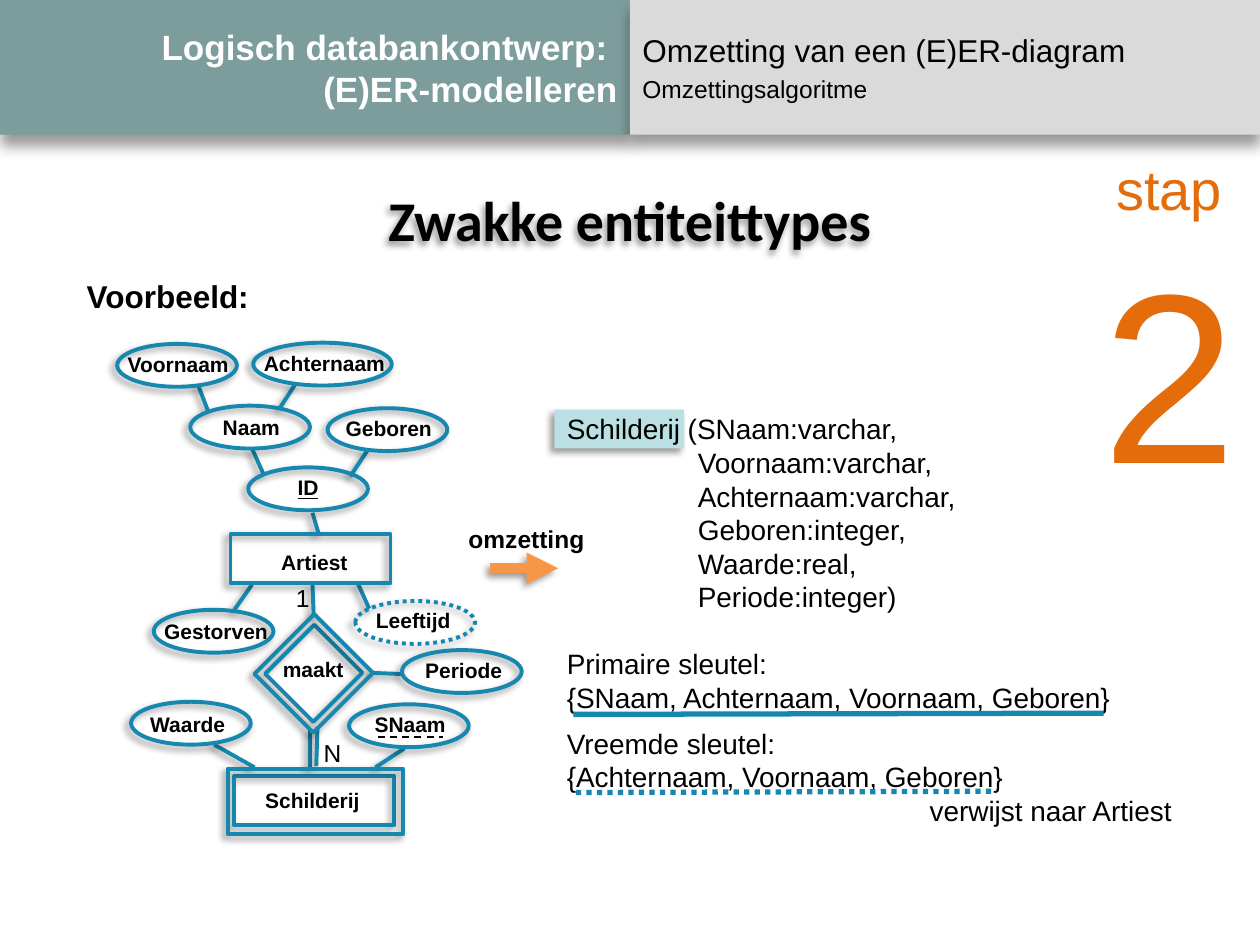
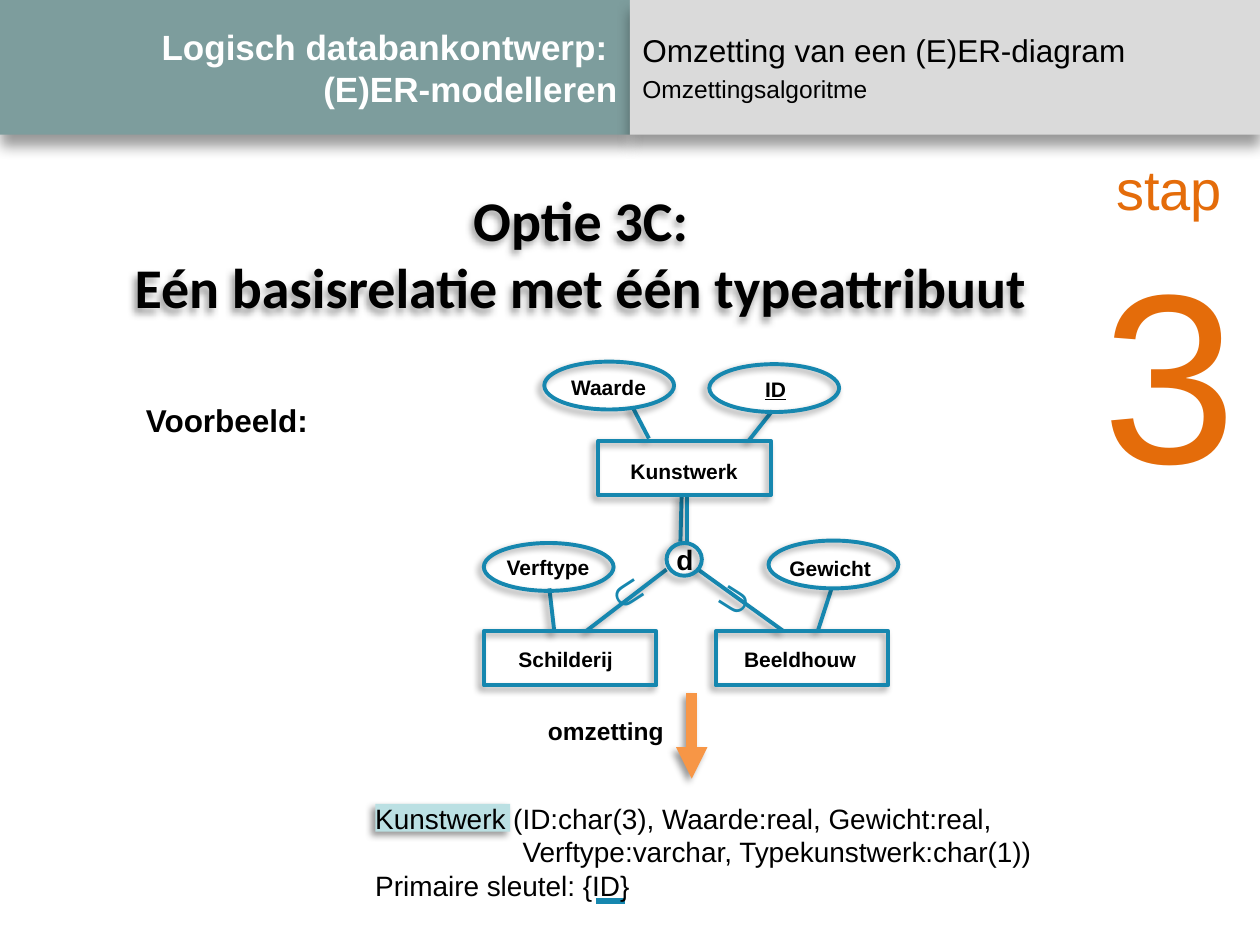
from dataclasses import dataclass
from typing import Any, NamedTuple

from lxml import etree
from pptx import Presentation, util as u
from pptx.dml.color import RGBColor
from pptx.enum import dml, shapes, text
from pptx.oxml.ns import qn

RECT = shapes.MSO_SHAPE.RECTANGLE
OVAL = shapes.MSO_SHAPE.OVAL
LEFT, MID, RIGHT = text.PP_ALIGN.LEFT, text.PP_ALIGN.CENTER, text.PP_ALIGN.RIGHT
DOTS, DASH = dml.MSO_LINE.ROUND_DOT, dml.MSO_LINE.DASH


@dataclass(frozen=True)
class Theme:
    ink: str = "000000"
    white: str = "FFFFFF"
    teal: str = "7D9D9D"
    grey: str = "DADADA"
    blue: str = "1687AF"
    pale: str = "BBE0E3"
    orange: str = "F79646"
    step: str = "E46C0A"
    font: str = "Arial"
    head: str = "Calibri"
    label: int = 12
    small: int = 14
    code: int = 16
    lead: int = 18
    band: int = 20
    union: int = 24
    title: int = 32
    number: int = 138
    thin: float = 1
    edge: float = 2.25
    under: float = 3
    arrow: float = 6


T = Theme()


class Shade(NamedTuple):
    blur: float
    dist: float
    angle: int


SOFT = Shade(4, 3, 135)
DEEP = Shade(8, 6, 90)


class Box(NamedTuple):
    x: float
    y: float
    w: float
    h: float


class Line(NamedTuple):
    x1: float
    y1: float
    x2: float
    y2: float


@dataclass(frozen=True)
class Para:
    text: str
    size: float
    gap: float = 0
    indent: float = 0


@dataclass(frozen=True)
class Node:
    """A shape in the diagram with its label box (left, top, width)."""
    label: str
    x: float
    y: float
    at: tuple[float, float, float]
    kind: Any = OVAL
    key: bool = False
    dash: Any = None
    size: tuple[float, float] | None = None


def inch(val: float) -> u.Length:
    return u.Cm(val * 2.54)


def style(obj: Any, form: dict[str, Any]) -> None:
    for name, val in form.items():
        setattr(obj, name, val)


def shade(item: Any, kind: Shade | None) -> None:
    """Replace the theme shadow by the given one, or by none."""
    props = item._element.spPr
    for old in props.findall(qn("a:effectLst")):
        props.remove(old)
    root = etree.SubElement(props, qn("a:effectLst"))
    if kind:
        cast = etree.SubElement(
            root, qn("a:outerShdw"), blurRad=str(u.Pt(kind.blur)),
            dist=str(u.Pt(kind.dist)), dir=str(kind.angle * 60000),
            algn="tl", rotWithShape="0")
        tint = etree.SubElement(cast, qn("a:srgbClr"), val=T.ink)
        etree.SubElement(tint, qn("a:alpha"), val="40000")


def stroke(line: Any, color: str, width: float, dash: Any = None) -> None:
    line.color.rgb = RGBColor.from_string(color)
    style(line, {"width": u.Pt(width), "dash_style": dash})


def form(slide: Any, kind: Any, box: Box, fill: str | None = None,
         dash: Any = None, turn: float = 0, cast: Shade = SOFT) -> Any:
    """Filled shape without edge, or a blue outline when fill is None."""
    item = slide.shapes.add_shape(kind, *map(inch, box))
    item.rotation = turn
    if fill:
        item.fill.solid()
        item.fill.fore_color.rgb = RGBColor.from_string(fill)
        item.line.fill.background()
    else:
        item.fill.background()
        stroke(item.line, T.blue, T.edge, dash)
    shade(item, cast)
    return item


def link(slide: Any, line: Line, color: str = T.blue, width: float = T.edge,
         dash: Any = None, cast: Shade | None = SOFT, arrow: bool = False) -> None:
    item = slide.shapes.add_connector(
        shapes.MSO_CONNECTOR.STRAIGHT, *map(inch, line))
    stroke(item.line, color, width, dash)
    if arrow:
        etree.SubElement(item.line._get_or_add_ln(), qn("a:tailEnd"), type="triangle")
    shade(item, cast)


def write(frame: Any, paras: list[Para], color: str = T.ink, align: Any = LEFT,
          font: str = T.font, **look: Any) -> None:
    for num, para in enumerate(paras):
        part = frame.add_paragraph() if num else frame.paragraphs[0]
        part.text = para.text
        part.alignment = align
        if para.gap:
            part.space_before = u.Pt(para.gap)
        if para.indent:
            part._p.get_or_add_pPr().set("marL", str(inch(para.indent)))
        for run in part.runs:
            style(run.font, {"name": font, "size": u.Pt(para.size), **look})
            run.font.color.rgb = RGBColor.from_string(color)


def note(slide: Any, box: Box, paras: list[Para], wrap: bool = False,
         turn: float = 0, **look: Any) -> Any:
    item = slide.shapes.add_textbox(*map(inch, box))
    item.rotation = turn
    style(item.text_frame, {"word_wrap": wrap,
                            "auto_size": text.MSO_AUTO_SIZE.SHAPE_TO_FIT_TEXT})
    write(item.text_frame, paras, **look)
    return item


def band(slide: Any, x: float, fill: str, paras: list[Para], **look: Any) -> None:
    item = form(slide, RECT, Box(x, 0, 5, 1.07), fill, cast=DEEP)
    style(item.text_frame, {"word_wrap": True,
                            "vertical_anchor": text.MSO_ANCHOR.MIDDLE})
    write(item.text_frame, paras, **look)


def start(deck: Any, mark: Box, step: str, title: str, place: Box,
          lead: tuple[float, float], hint: tuple[float, float], arrow: Line) -> Any:
    """Add a slide with all that the two slides share."""
    slide = deck.slides.add_slide(deck.slide_layouts[6])
    form(slide, RECT, mark, T.pale)
    band(slide, 0, T.teal, [Para("Logisch databankontwerp: \v(E)ER-modelleren", T.band)],
         color=T.white, align=RIGHT, bold=True)
    band(slide, 5, T.grey, [Para("Omzetting van een (E)ER-diagram", T.lead),
                            Para("Omzettingsalgoritme", T.small, gap=3)])
    note(slide, Box(8.63, 1.18, 1.3, 2.96),
         [Para("stap", T.title), Para(step, T.number)], color=T.step, align=MID)
    head = note(slide, place, [Para(title, T.title)], align=MID, font=T.head, bold=True)
    shade(head, SOFT)
    note(slide, Box(*lead, 1.5, 0.4), [Para("Voorbeeld:", T.lead)], bold=True)
    note(slide, Box(*hint, 1.13, 0.34), [Para("omzetting", T.small)], bold=True)
    link(slide, arrow, T.orange, T.arrow, arrow=True)
    return slide


def chart(slide: Any, nodes: list[Node], links: list[Line],
          oval: tuple[float, float], rect: tuple[float, float]) -> None:
    """Draw the nodes, with one default size per kind, and their links."""
    for line in links:
        link(slide, line)
    for node in nodes:
        size = node.size or (oval if node.kind == OVAL else rect)
        form(slide, node.kind, Box(node.x, node.y, *size), dash=node.dash)
        left, top, wide = node.at
        note(slide, Box(left, top, wide, 0.3), [Para(node.label, T.label)],
             align=MID, bold=True, underline=node.key)


def weak(deck: Any) -> None:
    slide = start(deck, Box(4.4, 3.25, 1.03, 0.31), "2", "Zwakke entiteittypes",
                  Box(2.96, 1.42, 4.08, 0.64), (0.59, 2.15), (3.62, 4.11),
                  Line(3.89, 4.51, 4.43, 4.51))
    nodes = [
        Node("Voornaam", 0.93, 2.73, (0.91, 2.74, 1.01)),
        Node("Achternaam", 2.01, 2.72, (1.99, 2.73, 1.17), size=(1.1, 0.34)),
        Node("Naam", 1.51, 3.22, (1.66, 3.24, 0.67)),
        Node("Geboren", 2.6, 3.24, (2.64, 3.25, 0.89)),
        Node("ID", 1.97, 3.71, (2.26, 3.72, 0.37), key=True),
        Node("Artiest", 1.83, 4.24, (2.13, 4.31, 0.73), RECT),
        Node("Gestorven", 1.22, 4.84, (1.2, 4.86, 1.03)),
        Node("Leeftijd", 2.82, 4.77, (2.88, 4.77, 0.8), dash=DOTS),
        Node("Periode", 3.19, 5.16, (3.27, 5.17, 0.82)),
        Node("Waarde", 1.04, 5.57, (1.09, 5.6, 0.8)),
        Node("SNaam", 2.77, 5.59, (2.86, 5.6, 0.79)),
        Node("Schilderij", 1.86, 6.16, (2, 6.2, 0.96), RECT),
    ]
    links = [
        Line(1.65, 3.26, 1.57, 3.05), Line(2.22, 3.24, 2.35, 3.04),
        Line(2.09, 3.76, 2, 3.56), Line(2.78, 3.78, 2.92, 3.57),
        Line(2.53, 4.24, 2.48, 4.07), Line(2.93, 4.83, 2.84, 4.63),
        Line(1.86, 4.84, 2, 4.64), Line(2.49, 4.89, 2.48, 4.64),
        Line(2.94, 5.34, 3.19, 5.35), Line(2.46, 6.1, 2.46, 5.79),
        Line(2.51, 6.08, 2.52, 5.77), Line(2.98, 6.09, 3.21, 5.94),
        Line(2.02, 6.09, 1.7, 5.91),
    ]
    chart(slide, nodes, links, (0.95, 0.34), (1.27, 0.39))
    form(slide, RECT, Box(1.81, 6.1, 1.39, 0.52))
    for box in (Box(2.22, 5.07, 0.54, 0.55), Box(2.16, 5.01, 0.66, 0.67)):
        form(slide, RECT, box, turn=45)
    note(slide, Box(2.14, 5.16, 0.69, 0.3), [Para("maakt", T.label)],
         align=MID, bold=True)
    for count, x, y, wide in (("1", 2.25, 4.58, 0.29), ("N", 2.47, 5.81, 0.32)):
        note(slide, Box(x, y, wide, 0.3), [Para(count, T.small)], align=MID)
    link(slide, Line(3, 5.85, 3.52, 5.85), T.ink, T.thin, DASH, None)

    fields = ("Voornaam:varchar,", "Achternaam:varchar,", "Geboren:integer,",
              "Waarde:real,", "Periode:integer)")
    note(slide, Box(4.4, 3.22, 5.28, 3.75), [
        Para("Schilderij (SNaam:varchar,", T.code),
        *(Para(field, T.code, indent=1.04) for field in fields),
        Para("Primaire sleutel:", T.code, gap=19.2),
        Para("{SNaam, Achternaam, Voornaam, Geboren}", T.code),
        Para("Vreemde sleutel:", T.code, gap=7),
        Para("{Achternaam, Voornaam, Geboren}", T.code),
        Para("verwijst naar Artiest", T.code, indent=2.88)], wrap=True)
    link(slide, Line(4.55, 5.67, 8.76, 5.66), width=T.under, cast=None)
    link(slide, Line(4.57, 6.29, 7.91, 6.28), width=T.under, dash=DOTS, cast=None)


def option(deck: Any) -> None:
    slide = start(deck, Box(2.98, 6.38, 1.07, 0.22), "3",
                  "Optie 3C:\vEén basisrelatie met één typeattribuut",
                  Box(0.93, 1.42, 7.36, 1.18), (1.06, 3.13), (4.25, 5.63),
                  Line(5.49, 5.5, 5.49, 6.18))
    nodes = [
        Node("Waarde", 4.32, 2.87, (4.43, 2.92, 0.8)),
        Node("ID", 5.63, 2.89, (5.97, 2.94, 0.37), key=True),
        Node("Kunstwerk", 4.75, 3.5, (4.9, 3.59, 1.06), RECT),
        Node("Verftype", 3.84, 4.31, (3.92, 4.35, 0.86)),
        Node("Gewicht", 6.1, 4.29, (6.16, 4.36, 0.86)),
        Node("Schilderij", 3.84, 5.01, (4.01, 5.08, 0.96), RECT),
        Node("Beeldhouw", 5.68, 5.01, (5.8, 5.08, 1.1), RECT),
    ]
    links = [
        Line(5.94, 3.5, 6.13, 3.26), Line(5.15, 3.48, 5.02, 3.23),
        Line(4.65, 5.01, 5.29, 4.52), Line(6.22, 5.01, 5.54, 4.52),
        Line(5.4, 4.3, 5.41, 3.93), Line(5.45, 4.3, 5.45, 3.92),
        Line(4.4, 5.02, 4.36, 4.67), Line(6.49, 5.01, 6.6, 4.67),
    ]
    chart(slide, nodes, links, (1.03, 0.38), (1.37, 0.43))
    form(slide, OVAL, Box(5.29, 4.31, 0.28, 0.26))
    note(slide, Box(5.27, 4.26, 0.34, 0.37), [Para("d", T.code)], bold=True)
    for x, y, turn in ((5.58, 4.49, 302.3), (4.79, 4.46, 57.1)):
        note(slide, Box(x, y, 0.46, 0.5), [Para("∪", T.union)], turn=turn,
             color=T.blue, bold=True)
    link(slide, Line(4.73, 7.15, 4.96, 7.15), width=T.under, cast=None)
    note(slide, Box(2.88, 6.31, 6.56, 0.91), [
        Para("Kunstwerk (ID:char(3), Waarde:real, Gewicht:real,", T.code),
        Para("Verftype:varchar, Typekunstwerk:char(1))", T.code, indent=1.17),
        Para("Primaire sleutel: {ID}", T.code)], wrap=True)


def main() -> None:
    deck = Presentation()
    style(deck, {"slide_width": inch(10), "slide_height": inch(7.5)})
    weak(deck)
    option(deck)
    deck.save("out.pptx")


if __name__ == "__main__":
    main()
